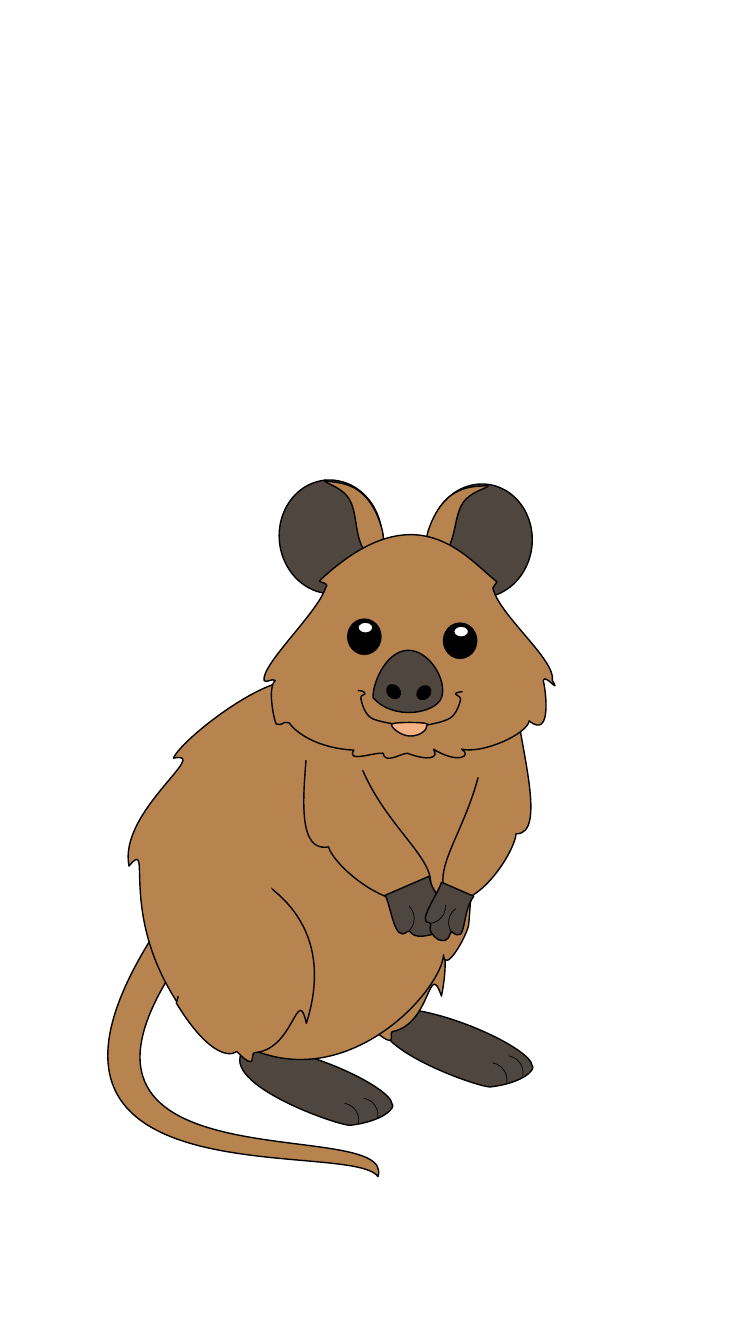
from lxml.etree import SubElement
from pptx import Presentation
from pptx.dml.color import RGBColor
from pptx.enum.shapes import MSO_SHAPE as Preset
from pptx.oxml.ns import qn
from pptx.util import Inches, Pt

WIDTH, HEIGHT = 7.5, 13.33
FUR, SKIN, BLACK, WHITE, TONGUE = "B7844F", "504640", "000000", "FFFFFF", "F4B183"
CURVE_STEPS = 24

# Outlines in inches: M = start, L = straight line, C = curve, Z = close
FOOT = ("M 3.89,10.95 C 3.88,10.78 2.97,10.35 2.45,10.38 "
        "C 2.06,10.72 3.39,11.18 3.48,11.16 C 3.81,11.12 3.93,10.98 3.89,10.95 Z")
FAR_LEG = ("M 3.67,8.48 L 3.24,8.75 L 3.08,9.82 C 3.4,10.25 3.63,10.31 3.72,10.23 "
           "C 3.97,10.43 3.84,10.23 3.9,10.23 C 4.28,10.15 4.25,9.5 4.38,9.88 "
           "C 4.6,8.81 3.77,8.53 3.67,8.48 Z")
TAIL = ("M 1.85,9.43 C 1.74,9.31 1.79,8.85 1.61,9.14 "
        "C -0.31,12 3.48,11.28 3.75,11.67 C 3.95,11.03 0.09,11.87 1.85,9.43 Z")
BODY = ("M 4.75,6.73 L 3.03,6.77 C 2.73,6.6 1.8,7.33 1.72,7.52 "
        "C 2.11,7.44 1.17,8.05 1.28,8.59 C 1.53,8.29 1.16,9.04 1.77,9.96 L 1.8,9.84 "
        "C 3.01,11.35 4.38,9.89 4.4,9.47 C 4.41,9.67 4.63,9.29 4.65,9.17 "
        "L 4.75,7.89 L 4.75,6.73 Z")
RIGHT_ARM = ("M 5.12,6.96 L 4.82,7.16 C 4.81,8.14 4.14,8.64 4.5,8.95 "
             "C 4.82,8.92 5.11,8.42 5.12,8.27 C 5.43,8.28 5.16,7.4 5.12,6.96 Z")
LEFT_ARM = ("M 3.06,7.1 L 3.48,7.24 C 3.64,8.21 4.58,8.58 4.17,8.95 "
            "C 3.74,8.99 3.29,8.54 3.26,8.4 C 2.86,8.47 3.07,7.54 3.06,7.1 Z")
NEAR_LEG = ("M 2.49,8.68 L 2.03,8.91 L 1.75,9.95 C 2.03,10.41 2.25,10.5 2.35,10.43 "
            "C 2.57,10.65 2.47,10.44 2.53,10.44 C 2.92,10.41 2.95,9.75 3.04,10.15 "
            "C 3.37,9.11 2.58,8.74 2.49,8.68 Z")
LEFT_PAW = ("M 4.26,8.69 L 3.82,8.88 C 3.88,8.98 3.91,9.36 4.04,9.24 "
            "C 4.09,9.2 4.04,9.33 4.28,9.27 C 4.42,9.19 4.32,9.15 4.33,9.11 "
            "C 4.6,9.06 4.28,8.92 4.26,8.69 Z")
RIGHT_PAW = ("M 4.7,8.89 L 4.38,8.75 C 4.35,8.86 4.13,9.16 4.26,9.15 "
             "C 4.31,9.16 4.2,9.22 4.35,9.32 C 4.47,9.36 4.45,9.26 4.48,9.24 "
             "C 4.64,9.38 4.57,9.06 4.7,8.89 Z")
RIGHT_EAR_FUR = ("M 4.84,4.81 C 4.79,4.85 4.43,4.73 4.25,5.26 "
                 "C 4.2,5.42 4.25,5.49 4.3,5.59 L 4.34,5.67 L 4.37,5.52 "
                 "C 4.52,5.43 4.5,5.15 4.58,5.01 C 4.66,4.86 4.88,4.84 4.84,4.81 Z")
LEFT_EAR_FUR = ("M 3.22,4.76 C 3.27,4.81 3.64,4.7 3.79,5.25 "
                "C 3.83,5.4 3.78,5.47 3.73,5.57 L 3.68,5.65 L 3.66,5.5 "
                "C 3.52,5.41 3.55,5.12 3.48,4.98 C 3.41,4.82 3.19,4.79 3.22,4.76 Z")
CHEST = ("M 4.91,7.35 C 4.55,7.24 2.59,7.04 2.56,7.1 "
         "C 2.46,7.72 4.34,7.67 4.73,7.71 C 5.12,7.75 5.27,7.45 4.91,7.35 Z")
HEAD = ("M 4.93,5.77 C 4.63,5.54 4.14,4.85 3.17,5.76 C 3.15,5.78 3.28,5.77 3.23,5.83 "
        "C 3.15,6.08 2.59,6.59 2.62,6.75 C 2.65,6.78 2.7,6.72 2.73,6.75 "
        "C 2.65,6.82 2.72,7.15 2.74,7.18 C 2.83,7.2 2.78,7.15 2.87,7.17 "
        "C 2.93,7.26 3.14,7.42 3.51,7.44 C 3.43,7.57 3.71,7.46 3.8,7.47 "
        "C 3.82,7.58 3.96,7.48 4.04,7.47 C 4.25,7.55 4.36,7.52 4.3,7.43 "
        "C 4.54,7.58 4.69,7.5 4.58,7.43 C 4.79,7.48 5.23,7.28 5.25,7.15 "
        "C 5.47,7.33 5.42,6.88 5.39,6.75 C 5.4,6.67 5.57,6.9 5.48,6.75 "
        "C 5.52,6.55 4.94,6.09 4.89,5.83 L 4.93,5.77 Z")
NOSE = ("M 4.38,6.92 C 4.44,6.75 4.26,6.45 4.05,6.45 "
        "C 3.85,6.45 3.7,6.74 3.7,6.92 C 3.9,7.15 4.32,7.08 4.38,6.92 Z")
LEFT_SMILE = ("M 3.55,6.85 C 3.59,6.85 3.62,6.86 3.62,6.88 "
              "C 3.63,6.89 3.57,6.89 3.58,6.93 C 3.59,6.97 3.61,7.07 3.68,7.12 "
              "C 3.74,7.16 3.97,7.19 3.97,7.19")
RIGHT_SMILE = ("M 4.59,6.86 C 4.56,6.86 4.53,6.87 4.52,6.88 "
               "C 4.52,6.9 4.57,6.9 4.57,6.94 C 4.56,6.98 4.53,7.08 4.47,7.12 "
               "C 4.4,7.17 4.18,7.2 4.18,7.2")
HIP = ("M 2.51,8.44 L 1.7,8.52 C 1.89,9.17 1.73,9.81 1.76,9.87 "
       "C 1.86,9.97 1.89,9.91 1.97,9.94 C 2.04,9.97 2.09,10.06 2.2,10.06 "
       "C 2.34,10.02 2.45,9.95 2.61,9.95 C 2.7,9.79 3,9.23 2.51,8.44 Z")
MOUTH = ("M 4.24,7.18 C 4.21,7.16 3.92,7.16 3.89,7.18 "
         "C 3.86,7.2 3.97,7.3 4.07,7.3 C 4.16,7.3 4.24,7.25 4.24,7.18 Z")


def colour(hex_text):
    return RGBColor.from_string(hex_text)


def paint(shape, fill, line=BLACK, weight=1):
    shape.shadow.inherit = False
    for target, tint in ((shape.fill, fill), (shape.line.fill, line)):
        if tint:
            target.solid()
            target.fore_color.rgb = colour(tint)
        else:
            target.background()
    if line:
        shape.line.width = Pt(weight)


def read_outline(outline, shift):
    """Return the segments as (command, points), with points in EMU."""
    segments = []
    for token in outline.split():
        if token.isalpha():
            segments.append((token, []))
        else:
            segments[-1][1].append(tuple(
                Inches(float(part) + move) for part, move in zip(token.split(","), shift)))
    return segments


def curve_points(start, controls):
    """Points along a cubic curve, which give the shape its true extent."""
    for step in range(1, CURVE_STEPS + 1):
        t = step / CURVE_STEPS
        weights = ((1 - t) ** 3, 3 * t * (1 - t) ** 2, 3 * t * t * (1 - t), t ** 3)
        yield tuple(sum(w * point[axis] for w, point in zip(weights, (start, *controls)))
                    for axis in (0, 1))


def add_outline(group, outline, fill, line=BLACK, shift=(0, 0)):
    segments = read_outline(outline, shift)
    pen = segments[0][1][0]
    builder = group.shapes.build_freeform(*pen)
    for command, points in segments[1:]:
        if points:
            trace = list(curve_points(pen, points)) if command == "C" else points
            builder.add_line_segments(trace, close=False)
            pen = points[-1]
    shape = builder.convert_to_shape()
    paint(shape, fill, line)

    # Swap the traced points for true curves
    geometry = shape.element.xpath(".//a:path")[0]
    for child in list(geometry):
        geometry.remove(child)
    tags = {"M": "a:moveTo", "L": "a:lnTo", "C": "a:cubicBezTo", "Z": "a:close"}
    for command, points in segments:
        node = SubElement(geometry, qn(tags[command]))
        for x, y in points:
            SubElement(node, qn("a:pt"), x=str(x - shape.left), y=str(y - shape.top))


def add_preset(shapes, preset, place, fill, line=BLACK, turn=0, weight=1):
    shape = shapes.add_shape(preset, *map(Inches, place))
    shape.rotation = turn
    paint(shape, fill, line, weight)


def add_oval(group, place, fill, turn=0):
    add_preset(group.shapes, Preset.OVAL, place, fill, turn=turn)


def add_eye(group, left, top):
    add_oval(group, (left, top, 0.33, 0.35), BLACK)
    add_oval(group, (left + 0.1, top + 0.03, 0.15, 0.11), WHITE)


def add_toe(group, left, top, turn):
    add_preset(group.shapes, Preset.ARC, (left, top, 0.34, 0.34), None, turn=turn, weight=0.5)


def main():
    deck = Presentation()
    deck.slide_width, deck.slide_height = Inches(WIDTH), Inches(HEIGHT)
    page = deck.slides.add_slide(deck.slide_layouts[6])
    add_preset(page.shapes, Preset.RECTANGLE, (0, HEIGHT - 9, WIDTH, 9), WHITE, line=WHITE)
    animal = page.shapes.add_group_shape()

    # Feet, body and limbs
    for shift in ((0, 0), (1.39, -0.38)):
        add_outline(animal, FOOT, SKIN, shift=shift)
    for outline in (FAR_LEG, TAIL, BODY, RIGHT_ARM, LEFT_ARM, NEAR_LEG):
        add_outline(animal, outline, FUR)
    add_outline(animal, LEFT_PAW, SKIN)

    # Ears
    for left, top, turn, fur in ((4.26, 4.8, 6.1, RIGHT_EAR_FUR),
                                 (2.77, 4.76, 353.9, LEFT_EAR_FUR)):
        add_oval(animal, (left, top, 1.02, 1.13), SKIN, turn)
        add_outline(animal, fur, FUR)

    # Front paw, chest and head
    add_outline(animal, RIGHT_PAW, SKIN)
    add_outline(animal, CHEST, FUR, line=None)
    add_outline(animal, HEAD, FUR)

    # Face
    add_eye(animal, 4.4, 6.18)
    add_outline(animal, NOSE, SKIN)
    for left, top, turn in ((4.13, 6.81, 316.1), (3.83, 6.8, 45.7)):
        add_oval(animal, (left, top, 0.15, 0.12), BLACK, turn)
    add_eye(animal, 3.45, 6.14)
    add_outline(animal, LEFT_SMILE, FUR)
    add_outline(animal, HIP, FUR, line=None)
    add_outline(animal, RIGHT_SMILE, FUR)
    add_outline(animal, MOUTH, TONGUE)

    # Fingers and toes
    for left, top, turn in ((3.77, 8.94, 44.5), (4.08, 8.82, 84.9), (4.45, 8.98, 234.2),
                            (4.85, 10.47, 9.5), (4.69, 10.54, 9.5),
                            (3.22, 10.94, 9.5), (3.41, 10.89, 9.5)):
        add_toe(animal, left, top, turn)

    deck.save("out.pptx")


if __name__ == "__main__":
    main()
